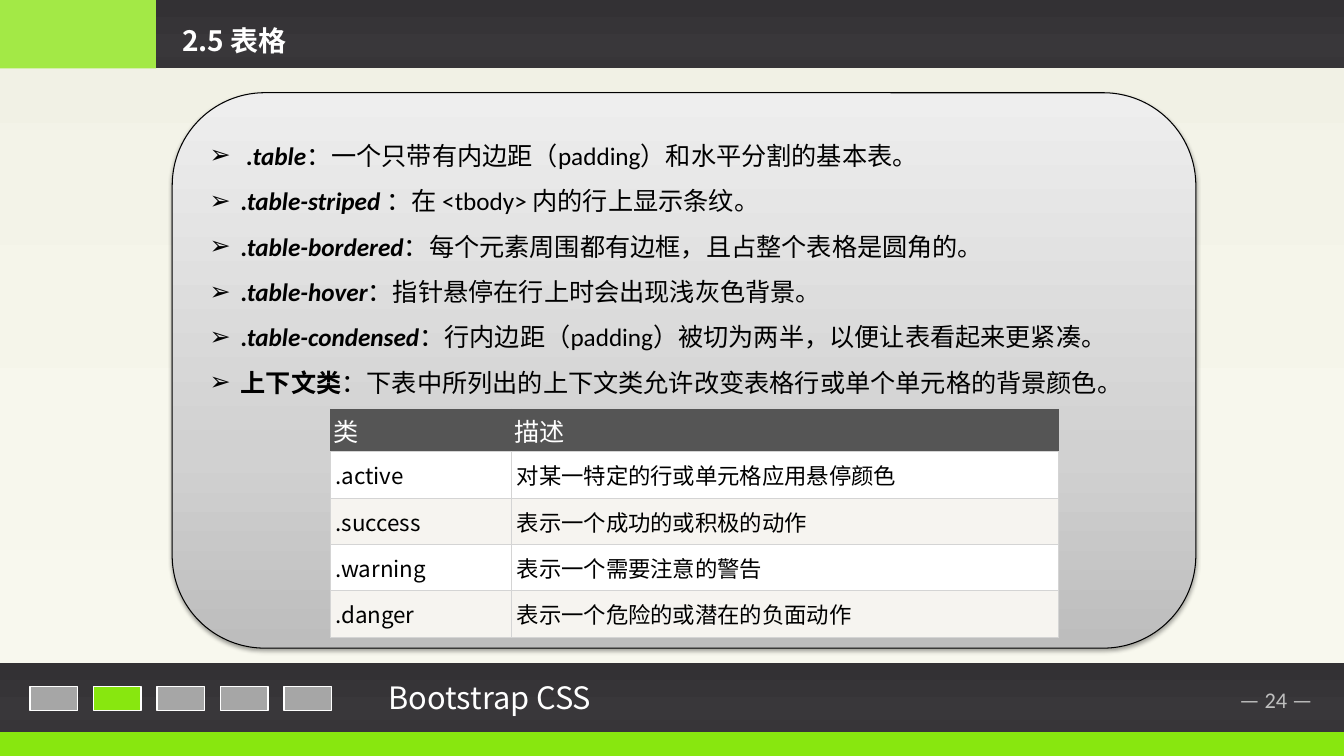
from dataclasses import dataclass

from lxml.etree import SubElement
from pptx import Presentation
from pptx.dml.color import RGBColor
from pptx.enum.shapes import MSO_SHAPE as Preset
from pptx.enum.text import MSO_ANCHOR as Anchor, MSO_AUTO_SIZE as AutoSize, PP_ALIGN as Align
from pptx.oxml import parse_xml
from pptx.oxml.ns import nsdecls, qn
from pptx.util import Emu, Pt

CJK = "Noto Sans CJK SC"
LATIN = "Calibri"
WHITE, BLACK, GREEN, GREY = "FFFFFF", "000000", "88E70F", "A6A6A6"
HEADER_FILL, CELL_BORDER = "555555", "D4D4D4"
DARK_STOPS = ((0, "333134"), (74, "39373A"), (83, "373538"), (100, "363436"))
PAPER_STOPS = ((0, "F1F1E5"), (74, "F7F7ED"), (83, "F8F8EE"), (100, "F9F9EF"))
CARD_STOPS = ((0, "BDBDBD"), (35, "D1D1D1"), (100, "EEEEEE"))


@dataclass(frozen=True)
class Box:
    left: int
    top: int
    width: int
    height: int

    def emu(self) -> tuple:
        return px(self.left), px(self.top), px(self.width), px(self.height)


@dataclass(frozen=True)
class Style:
    size: int
    color: str
    font: str = CJK
    bold: bool = False
    italic: bool = False


@dataclass(frozen=True)
class Item:
    term: str
    meaning: str
    italic: bool = True
    lead: str = ""


ITEMS = (
    Item(".table", "：一个只带有内边距（padding）和水平分割的基本表。", lead=" "),
    Item(".table-striped ", "：在 <tbody> 内的行上显示条纹。"),
    Item(".table-bordered", "：每个元素周围都有边框，且占整个表格是圆角的。"),
    Item(".table-hover", "：指针悬停在行上时会出现浅灰色背景。"),
    Item(".table-condensed", "：行内边距（padding）被切为两半，以便让表看起来更紧凑。"),
    Item("上下文类", "：下表中所列出的上下文类允许改变表格行或单个单元格的背景颜色。", italic=False),
)
TABLE_ROWS = (
    ("类", "描述"),
    (".active", "对某一特定的行或单元格应用悬停颜色"),
    (".success", "表示一个成功的或积极的动作"),
    (".warning", "表示一个需要注意的警告"),
    (".danger", "表示一个危险的或潜在的负面动作"),
)


def px(length: int) -> Emu:
    return Emu(length * 9144)


def rgb(color: str) -> RGBColor:
    return RGBColor.from_string(color)


def add_run(paragraph, text: str, style: Style) -> None:
    run = paragraph.add_run()
    run.text = text
    font = run.font
    font.size, font.name = Pt(style.size), style.font
    font.bold, font.italic = style.bold, style.italic
    font.color.rgb = rgb(style.color)
    SubElement(font._element, qn("a:ea"), typeface=CJK)


def add_panel(slide, box: Box, preset=Preset.RECTANGLE):
    shape = slide.shapes.add_shape(preset, *box.emu())
    shape.shadow.inherit = False
    shape.line.fill.background()
    return shape


def add_solid(slide, box: Box, color: str):
    shape = add_panel(slide, box)
    shape.fill.solid()
    shape.fill.fore_color.rgb = rgb(color)
    return shape


def add_gradient(slide, box: Box, stops: tuple, angle: int = 90, preset=Preset.RECTANGLE):
    shape = add_panel(slide, box, preset)
    marks = "".join(
        f'<a:gs pos="{position * 1000}"><a:srgbClr val="{color}"/></a:gs>' for position, color in stops
    )
    shape._element.spPr.insert(2, parse_xml(
        f'<a:gradFill {nsdecls("a")} rotWithShape="1"><a:gsLst>{marks}</a:gsLst>'
        f'<a:lin ang="{angle * 60000}" scaled="0"/></a:gradFill>'
    ))
    return shape


def set_outline(shape, color: str, width: float) -> None:
    shape.line.color.rgb = rgb(color)
    shape.line.width = Pt(width)


def add_label(slide, box: Box, text: str, style: Style, align=Align.LEFT, wrap: bool = True) -> None:
    frame = slide.shapes.add_textbox(*box.emu()).text_frame
    frame.word_wrap = wrap
    frame.paragraphs[0].alignment = align
    add_run(frame.paragraphs[0], text, style)


def place(placeholder, box: Box, anchor):
    """Move a placeholder in front of everything drawn so far and return its text frame."""
    placeholder.left, placeholder.top, placeholder.width, placeholder.height = box.emu()
    placeholder.element.getparent().append(placeholder.element)
    frame = placeholder.text_frame
    frame.auto_size, frame.vertical_anchor, frame.word_wrap = AutoSize.NONE, anchor, True
    return frame


def add_frame(slide) -> None:
    add_gradient(slide, Box(0, 0, 1334, 658), PAPER_STOPS)
    add_solid(slide, Box(0, 726, 1334, 24), GREEN)
    add_gradient(slide, Box(0, 658, 1334, 68), DARK_STOPS)
    corner = add_solid(slide, Box(0, 0, 155, 68), GREEN)
    SubElement(corner._element.spPr.find(".//" + qn("a:srgbClr")), qn("a:alpha"), val="74000")
    add_gradient(slide, Box(155, 0, 1179, 68), DARK_STOPS)
    for index in range(5):
        marker = add_solid(slide, Box(30 + 63 * index, 681, 47, 24), GREEN if index == 1 else GREY)
        set_outline(marker, WHITE, 1.2)
    add_label(slide, Box(376, 668, 427, 47), "Bootstrap CSS", Style(22, WHITE))
    add_label(slide, Box(1213, 676, 107, 37), "— 24 —", Style(16, "BFBFBF", LATIN), Align.CENTER, False)


def add_card(slide) -> None:
    card = add_gradient(slide, Box(171, 92, 1016, 551), CARD_STOPS, 270, Preset.FLOWCHART_ALTERNATE_PROCESS)
    set_outline(card, BLACK, 0.75)
    effects = card._element.spPr.find(qn("a:effectLst"))
    effects.append(parse_xml(
        f'<a:outerShdw {nsdecls("a")} blurRad="{Pt(3.1)}" dist="{Pt(1.6)}" dir="5400000" rotWithShape="0">'
        f'<a:srgbClr val="{BLACK}"><a:alpha val="38000"/></a:srgbClr></a:outerShdw>'
    ))


def fill_list(frame) -> None:
    for index, item in enumerate(ITEMS):
        paragraph = frame.add_paragraph() if index else frame.paragraphs[0]
        paragraph.line_spacing, paragraph.space_before = 1.5, Pt(0)
        properties = paragraph._p.get_or_add_pPr()
        properties.set("marL", str(px(31)))
        properties.set("indent", str(-px(31)))
        SubElement(properties, qn("a:buChar"), char="➢")
        if item.lead:
            add_run(paragraph, item.lead, Style(18, BLACK, LATIN, bold=True))
        add_run(paragraph, item.term, Style(18, BLACK, LATIN, bold=True, italic=item.italic))
        add_run(paragraph, item.meaning, Style(18, BLACK, LATIN))


def set_borders(cell, side_color: str) -> None:
    properties = cell._tc.get_or_add_tcPr()
    for side in "LRTB":
        color = CELL_BORDER if side == "B" else side_color
        properties.append(parse_xml(
            f'<a:ln{side} {nsdecls("a")} w="{Pt(0.75)}"><a:solidFill><a:srgbClr val="{color}"/>'
            f'</a:solidFill></a:ln{side}>'
        ))


def add_class_table(slide) -> None:
    table = slide.shapes.add_table(len(TABLE_ROWS), 2, *Box(328, 406, 723, 201).emu()).table
    table.first_row = table.horz_banding = False
    table.columns[0].width, table.columns[1].width = px(180), px(543)
    for row, texts in enumerate(TABLE_ROWS):
        header = row == 0
        table.rows[row].height = px(37 if header else 41)
        fill = HEADER_FILL if header else (WHITE if row % 2 else "F6F4F0")
        for column, text in enumerate(texts):
            cell = table.cell(row, column)
            cell.margin_left = cell.margin_right = px(3 if header else 5)
            cell.margin_top = cell.margin_bottom = px(3 if header else 7)
            set_borders(cell, HEADER_FILL if header else CELL_BORDER)
            cell.fill.solid()
            cell.fill.fore_color.rgb = rgb(fill)
            style = Style(18, WHITE) if header else Style(16, BLACK)
            add_run(cell.text_frame.paragraphs[0], text, style)


def main() -> None:
    presentation = Presentation()
    presentation.slide_width, presentation.slide_height = px(1334), px(750)
    slide = presentation.slides.add_slide(presentation.slide_layouts[1])
    add_frame(slide)
    title = place(slide.shapes.title, Box(171, 18, 409, 44), Anchor.MIDDLE).paragraphs[0]
    title.alignment = Align.LEFT
    add_run(title, "2.5 表格", Style(20, WHITE, bold=True))
    add_card(slide)
    fill_list(place(slide.placeholders[1], Box(198, 119, 962, 290), Anchor.TOP))
    add_class_table(slide)
    presentation.save("out.pptx")


if __name__ == "__main__":
    main()
